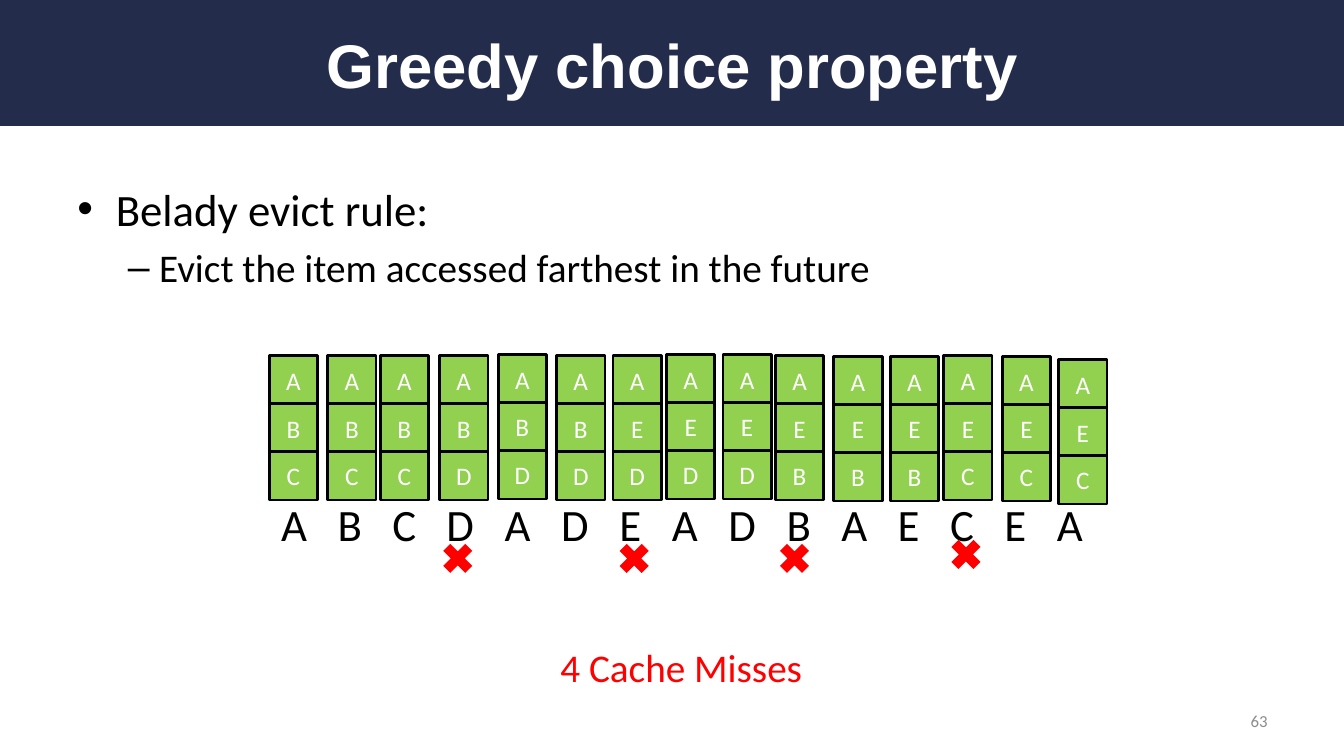
from itertools import accumulate

from lxml.etree import SubElement
from pptx import Presentation
from pptx.dml.color import RGBColor
from pptx.enum.shapes import MSO_SHAPE
from pptx.enum.text import MSO_ANCHOR, PP_ALIGN
from pptx.oxml.ns import qn
from pptx.util import Inches, Pt

TITLE = "Greedy choice property"
BULLETS = [
    # text, level, bullet, left margin, hanging indent, size, space before
    ("Belady evict rule:", 0, "•", 0.38, 0.38, 32, 0),
    ("Evict the item accessed farthest in the future", 1, "–", 0.81, 0.31, 28, 5.6),
]
RESULT = "4 Cache Misses"
PAGE_NUMBER = "63"
ACCESSES = "ABCDADEADBAECEA"
CACHES = [
    # cache content after each access, left, top
    ("ABC", 2.67, 3.53), ("ABC", 3.25, 3.53), ("ABC", 3.77, 3.53),
    ("ABD", 4.36, 3.53), ("ABD", 4.94, 3.52), ("ABD", 5.52, 3.53),
    ("AED", 6.08, 3.53), ("AED", 6.61, 3.52), ("AED", 7.17, 3.52),
    ("AEB", 7.69, 3.53), ("AEB", 8.27, 3.54), ("AEB", 8.83, 3.54),
    ("AEC", 9.36, 3.53), ("AEC", 9.94, 3.54), ("AEC", 10.5, 3.57),
]
MISSES = [(4.33, 5.33), (6.08, 5.33), (7.67, 5.33), (9.37, 5.29)]

WIDTH, HEIGHT = 13.33, 7.5
CELL, CELL_PITCH, CROSS = 0.48, 0.475, 0.42
ACCESS_SIZE = 32
LETTER_EMS = {"A": 0.58, "B": 0.54, "C": 0.53, "D": 0.62, "E": 0.49}
GAP_EMS = 0.68
NAVY, GREEN, RED = "232D4B", "92D050", "FF0000"
BLACK, WHITE, GREY = "000000", "FFFFFF", "8C8C8C"


def color(value):
    return RGBColor.from_string(value)


def box(left, top, width, height):
    return [Inches(length) for length in (left, top, width, height)]


def style(paragraph, size, text_color, align=PP_ALIGN.LEFT, name="Calibri", bold=False):
    paragraph.alignment = align
    for key, value in {"size": Pt(size), "name": name, "bold": bold}.items():
        setattr(paragraph.font, key, value)
    paragraph.font.color.rgb = color(text_color)


def add_shape(shapes, preset, place, fill, line=None):
    shape = shapes.add_shape(preset, *box(*place))
    shape.shadow.inherit = False
    shape.fill.solid()
    shape.fill.fore_color.rgb = color(fill)
    if line:
        shape.line.color.rgb = color(line)
        shape.line.width = Pt(2)
    else:
        shape.line.fill.background()
    return shape


def add_text_frame(slide, place, wrap=True, anchor=MSO_ANCHOR.TOP):
    frame = slide.shapes.add_textbox(*box(*place)).text_frame
    frame.word_wrap = wrap
    frame.vertical_anchor = anchor
    return frame


def add_title(slide):
    band = add_shape(slide.shapes, MSO_SHAPE.RECTANGLE, (0, 0, WIDTH, HEIGHT / 6), NAVY)
    title = slide.shapes.title
    title.left, title.top, title.width, title.height = box(0.67, 0.17, 12, 0.92)
    band.element.addnext(title.element)
    title.text_frame.text = TITLE
    title.text_frame.vertical_anchor = MSO_ANCHOR.MIDDLE
    style(title.text_frame.paragraphs[0], 44, WHITE, PP_ALIGN.CENTER, "Arial", True)


def add_bullets(slide):
    frame = add_text_frame(slide, (0.67, 1.75, 12, 4.95))
    for index, (text, level, bullet, margin, hanging, size, before) in enumerate(BULLETS):
        paragraph = frame.add_paragraph() if index else frame.paragraphs[0]
        paragraph.text = text
        paragraph.level = level
        paragraph.space_before = Pt(before)
        properties = paragraph._p.get_or_add_pPr()
        properties.set("marL", str(Inches(margin)))
        properties.set("indent", str(-Inches(hanging)))
        SubElement(properties, qn("a:buFont"), typeface="Arial")
        SubElement(properties, qn("a:buChar"), char=bullet)
        style(paragraph, size, BLACK)


def add_accesses(slide):
    """One line of letters, with tab stops that leave the same gap after each letter."""
    paragraph = add_text_frame(slide, (2.69, 4.88, 8.23, 0.64)).paragraphs[0]
    paragraph.text = "\t".join(ACCESSES)
    tabs = SubElement(paragraph._p.get_or_add_pPr(), qn("a:tabLst"))
    steps = (LETTER_EMS[letter] + GAP_EMS for letter in ACCESSES[:-1])
    for ems in accumulate(steps):
        SubElement(tabs, qn("a:tab"), pos=str(Pt(ems * ACCESS_SIZE)), algn="l")
    style(paragraph, ACCESS_SIZE, BLACK)


def add_cache(slide, items, left, top):
    group = slide.shapes.add_group_shape()
    for row, item in enumerate(items):
        place = (left, top + row * CELL_PITCH, CELL, CELL)
        cell = add_shape(group.shapes, MSO_SHAPE.RECTANGLE, place, GREEN, BLACK)
        cell.text_frame.text = item
        cell.text_frame.vertical_anchor = MSO_ANCHOR.MIDDLE
        style(cell.text_frame.paragraphs[0], 18, WHITE, PP_ALIGN.CENTER)


def main():
    presentation = Presentation()
    presentation.slide_width, presentation.slide_height = Inches(WIDTH), Inches(HEIGHT)
    slide = presentation.slides.add_slide(presentation.slide_layouts[5])

    add_title(slide)
    add_bullets(slide)
    add_accesses(slide)
    for items, left, top in CACHES:
        add_cache(slide, items, left, top)
    for left, top in MISSES:
        add_shape(slide.shapes, MSO_SHAPE.MATH_MULTIPLY, (left, top, CROSS, CROSS), RED)

    result = add_text_frame(slide, (5.46, 6.33, 2.63, 0.57), wrap=False).paragraphs[0]
    result.text = RESULT
    style(result, 28, RED)
    number = add_text_frame(slide, (9.56, 6.95, 3.11, 0.4), anchor=MSO_ANCHOR.MIDDLE).paragraphs[0]
    number.text = PAGE_NUMBER
    style(number, 12, GREY, PP_ALIGN.RIGHT)

    presentation.save("out.pptx")


if __name__ == "__main__":
    main()
